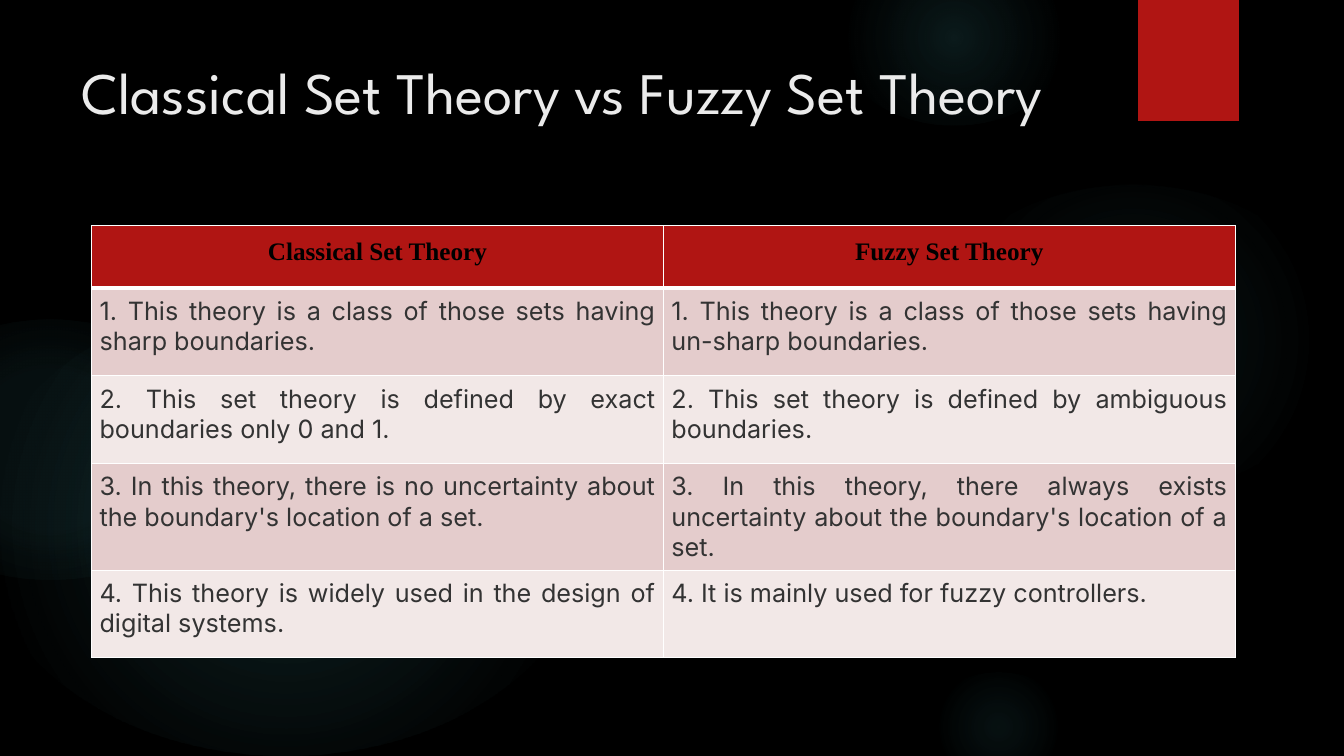
from lxml.etree import fromstring
from pptx import Presentation
from pptx.dml.color import RGBColor
from pptx.enum.shapes import MSO_SHAPE
from pptx.enum.text import MSO_ANCHOR, PP_ALIGN
from pptx.oxml.ns import nsdecls
from pptx.util import Cm, Pt

TITLE = "Classical Set Theory vs Fuzzy Set Theory"
HEADERS = ("Classical Set Theory", "Fuzzy Set Theory")
COMPARISONS = [
    ("1. This theory is a class of those sets having sharp boundaries.",
     "1. This theory is a class of those sets having un-sharp boundaries."),
    ("2. This set theory is defined by exact boundaries only 0 and 1.",
     "2. This set theory is defined by ambiguous boundaries."),
    ("3. In this theory, there is no uncertainty about the boundary's location of a set.",
     "3. In this theory, there always exists uncertainty about the boundary's location of a set."),
    ("4. This theory is widely used in the design of digital systems.",
     "4. It is mainly used for fuzzy controllers."),
]

BLACK, RED, GLOW, WHITE = "000000", "B01513", "50B9C1", "FFFFFF"
TITLE_COLOR, BODY_COLOR = "EBEBEB", "333333"
BANDS = ("E4CCCC", "F2E8E7")

# (left, top, width, height) in cm, then (position %, opacity %) stops
GLOWS = [
    ((23.34, 4.65, 10.44, 7.82), ((0, 7), (36, 6), (69, 0))),
    ((21.08, -1.27, 5.92, 4.44), ((0, 14), (36, 7), (73, 0))),
    ((23.34, 16.94, 3.66, 2.74), ((0, 9), (36, 5), (66, 0))),
    ((-0.56, 7.42, 15.52, 11.63), ((0, 11), (36, 10), (75, 0))),
    ((-3.1, 8.05, 8.74, 6.55), ((0, 8), (36, 8), (72, 0))),
]
TABLE_LEFT, TABLE_TOP, COLUMN_WIDTH = 2.31, 5.69, 14.41
HEADER_HEIGHT, ROW_HEIGHT = 1.57, 2.21
HEADER_INSET, BODY_INSET = 0.3, 0.2


def rgb(color):
    return RGBColor.from_string(color)


def add_plain_shape(slide, kind, box):
    sp = slide.shapes.add_shape(kind, *map(Cm, box))
    sp.shadow.inherit = False
    sp.line.fill.background()
    return sp


def add_glow(slide, box, stops):
    """Add an ellipse that fades outwards from its centre."""
    sp = add_plain_shape(slide, MSO_SHAPE.OVAL, box)
    sp.fill.background()
    stop_xml = "".join(
        f'<a:gs pos="{pos * 1000}"><a:srgbClr val="{GLOW}">'
        f'<a:alpha val="{alpha * 1000}"/></a:srgbClr></a:gs>'
        for pos, alpha in stops)
    gradient = fromstring(
        f'<a:gradFill {nsdecls("a")} rotWithShape="1"><a:gsLst>{stop_xml}</a:gsLst>'
        '<a:path path="circle"><a:fillToRect l="50000" t="50000" r="50000" b="50000"/>'
        '</a:path></a:gradFill>')
    properties = sp.element.spPr
    no_fill = properties.find("a:noFill", {"a": properties.nsmap["a"]})
    properties.replace(no_fill, gradient)


def set_borders(cell, widths):
    """Draw white left, right, top and bottom borders, widths in points."""
    tc_pr = cell._tc.get_or_add_tcPr()
    for i, (side, width) in enumerate(zip("LRTB", widths)):
        tc_pr.insert(i, fromstring(
            f'<a:ln{side} {nsdecls("a")} w="{Pt(width)}"><a:solidFill>'
            f'<a:srgbClr val="{WHITE}"/></a:solidFill></a:ln{side}>'))


def set_font(p, name, size, color, bold=False):
    p.font.name, p.font.size, p.font.bold = name, Pt(size), bold
    p.font.color.rgb = rgb(color)


def fill_cell(cell, text, row):
    is_header = row == 0
    cell.fill.solid()
    cell.fill.fore_color.rgb = rgb(RED if is_header else BANDS[(row - 1) % 2])
    inset = Cm(HEADER_INSET if is_header else BODY_INSET)
    cell.margin_left = cell.margin_right = inset
    cell.margin_top = cell.margin_bottom = inset
    cell.text = text
    p = cell.text_frame.paragraphs[0]
    if is_header:
        p.alignment = PP_ALIGN.CENTER
        set_font(p, "Times New Roman", 18, BLACK, bold=True)
    else:
        p.alignment = PP_ALIGN.JUSTIFY
        set_font(p, "Inter", 18, BODY_COLOR)
    set_borders(cell, (1, 1, 3 if row == 1 else 1, 3 if is_header else 1))


def add_title(slide):
    tf = slide.shapes.add_textbox(Cm(1.8), Cm(1.27), Cm(26.14), Cm(3.89)).text_frame
    tf.word_wrap = True
    tf.vertical_anchor = MSO_ANCHOR.TOP
    p = tf.paragraphs[0]
    p.text = TITLE
    set_font(p, "League Spartan", 42, TITLE_COLOR)


def add_comparison_table(slide):
    rows = [HEADERS, *COMPARISONS]
    heights = [HEADER_HEIGHT] + [ROW_HEIGHT] * len(COMPARISONS)
    table = slide.shapes.add_table(
        len(rows), len(HEADERS), Cm(TABLE_LEFT), Cm(TABLE_TOP),
        Cm(COLUMN_WIDTH * len(HEADERS)), Cm(sum(heights))).table
    for column in table.columns:
        column.width = Cm(COLUMN_WIDTH)
    for r, (texts, height) in enumerate(zip(rows, heights)):
        table.rows[r].height = Cm(height)
        for c, text in enumerate(texts):
            fill_cell(table.cell(r, c), text, r)


def main():
    prs = Presentation()
    prs.slide_width, prs.slide_height = Cm(33.87), Cm(19.05)
    slide = prs.slides.add_slide(prs.slide_layouts[6])
    slide.background.fill.solid()
    slide.background.fill.fore_color.rgb = rgb(BLACK)
    for box, stops in GLOWS:
        add_glow(slide, box, stops)
    ribbon = add_plain_shape(slide, MSO_SHAPE.RECTANGLE, (28.68, 0, 2.54, 3.05))
    ribbon.fill.solid()
    ribbon.fill.fore_color.rgb = rgb(RED)
    add_title(slide)
    add_comparison_table(slide)
    prs.save("out.pptx")


if __name__ == "__main__":
    main()
